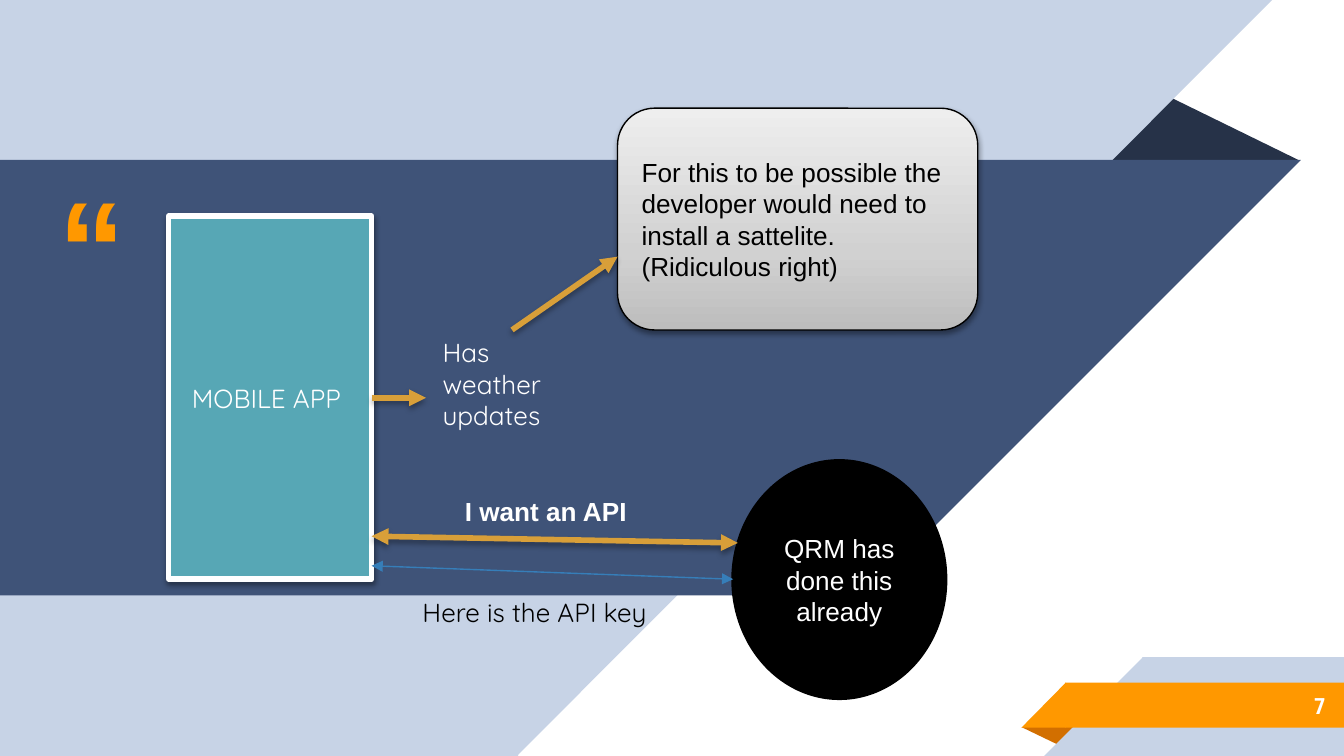
from copy import deepcopy
from dataclasses import dataclass

from lxml.etree import SubElement
from pptx import Presentation
from pptx.dml.color import RGBColor
from pptx.enum.shapes import MSO_CONNECTOR as Connector, MSO_SHAPE as Preset
from pptx.enum.text import MSO_ANCHOR as Anchor, PP_ALIGN as Align
from pptx.oxml.ns import qn
from pptx.util import Emu, Pt

PX = 4572
LIGHT, NAVY, ORANGE, GOLD = "C7D3E6", "3F5378", "FF9800", "D89F39"
WHITE, BLACK = "FFFFFF", "000000"


@dataclass
class Band:
    preset: Preset
    box: tuple[int, int, int, int]
    color: str
    rotation: int = 0
    flipped: bool = False


@dataclass
class Label:
    text: str
    font: str = "Arial"
    color: str = WHITE
    size: int = 14
    bold: bool = False
    align: Align = Align.LEFT
    anchor: Anchor = Anchor.TOP
    inset: int = 10
    space_before: int = 0


@dataclass
class Arrow:
    start: tuple[int, int]
    end: tuple[int, int]
    color: str = GOLD
    width: float = 3
    double: bool = False
    shadow: bool = True


def px(value: int) -> Emu:
    return Emu(value * PX)


def rgb(color: str) -> RGBColor:
    return RGBColor.from_string(color)


def add_shadow(effects, alpha: int, distance: float) -> None:
    shadow = SubElement(
        effects, qn("a:outerShdw"), blurRad=str(Pt(3.1)), dist=str(Pt(distance)),
        dir="5400000", algn="t", rotWithShape="0")
    color = SubElement(shadow, qn("a:srgbClr"), val=BLACK)
    SubElement(color, qn("a:alpha"), val=str(alpha * 1000))


def write(shape, label: Label) -> None:
    frame = shape.text_frame
    frame.word_wrap = True
    frame.vertical_anchor = label.anchor
    frame.margin_left = frame.margin_right = px(20)
    frame.margin_top = frame.margin_bottom = px(label.inset)
    frame.text = label.text
    for paragraph in frame.paragraphs:
        paragraph.alignment = label.align
        paragraph.space_before = Pt(label.space_before)
        for run in paragraph.runs:
            run.font.name = label.font
            run.font.size = Pt(label.size)
            run.font.bold = label.bold
            run.font.color.rgb = rgb(label.color)


def add_text(slide, box: tuple[int, int, int, int], label: Label) -> None:
    write(slide.shapes.add_textbox(*map(px, box)), label)


def add_band(slide, band: Band) -> None:
    shape = slide.shapes.add_shape(band.preset, *map(px, band.box))
    shape.shadow.inherit = False
    shape.fill.solid()
    shape.fill.fore_color.rgb = rgb(band.color)
    shape.line.fill.background()
    shape.rotation = band.rotation
    if band.preset == Preset.ISOSCELES_TRIANGLE:
        shape.adjustments[0] = 0.324
    if band.flipped:
        shape.element.spPr.find(qn("a:xfrm")).set("flipH", "1")


def add_node(slide, preset: Preset, box: tuple[int, int, int, int], fill: str,
             line: str, width: float, label: Label, shadow: bool = True):
    shape = slide.shapes.add_shape(preset, *map(px, box))
    shape.shadow.inherit = False
    shape.fill.solid()
    shape.fill.fore_color.rgb = rgb(fill)
    shape.line.color.rgb = rgb(line)
    shape.line.width = Pt(width)
    if shadow:
        add_shadow(shape.element.spPr.find(qn("a:effectLst")), 38, 1.6)
    write(shape, label)
    return shape


def fill_gradient(shape, stops: list[tuple[float, str]]) -> None:
    shape.fill.gradient()
    shape.fill.gradient_angle = 90
    stop_list = shape.element.spPr.find(qn("a:gradFill")).find(qn("a:gsLst"))
    while len(stop_list) < len(stops):
        stop_list.append(deepcopy(stop_list[0]))
    for stop, (position, color) in zip(shape.fill.gradient_stops, stops):
        stop.position = position
        stop.color.rgb = rgb(color)


def add_arrow(slide, arrow: Arrow):
    connector = slide.shapes.add_connector(
        Connector.STRAIGHT, *map(px, arrow.start + arrow.end))
    connector.line.color.rgb = rgb(arrow.color)
    connector.line.width = Pt(arrow.width)
    properties = connector.element.spPr
    line = properties.find(qn("a:ln"))
    if arrow.double:
        SubElement(line, qn("a:headEnd"), type="triangle")
    SubElement(line, qn("a:tailEnd"), type="triangle")
    effects = SubElement(properties, qn("a:effectLst"))
    if arrow.shadow:
        add_shadow(effects, 35, 1.8)
    return connector


BACKDROP = [
    Band(Preset.ISOSCELES_TRIANGLE, (1650, 145, 284, 94), "263248"),
    Band(Preset.RECTANGLE, (0, 0, 771, 1125), LIGHT),
    Band(Preset.RIGHT_TRIANGLE, (770, -1, 1124, 1125), LIGHT, 180, True),
    Band(Preset.RECTANGLE, (0, 238, 1289, 648), NAVY),
    Band(Preset.RIGHT_TRIANGLE, (1288, 238, 648, 648), NAVY, 180, True),
]
FOOTER = [
    Band(Preset.ISOSCELES_TRIANGLE, (1520, 1082, 86, 28), "D26F00", 180),
    Band(Preset.RECTANGLE, (1700, 978, 300, 147), LIGHT),
    Band(Preset.RIGHT_TRIANGLE, (1554, 978, 147, 147), LIGHT, 0, True),
    Band(Preset.RECTANGLE, (1585, 1016, 416, 67), ORANGE),
    Band(Preset.RIGHT_TRIANGLE, (1520, 1016, 66, 67), ORANGE, 0, True),
]


def main() -> None:
    presentation = Presentation()
    presentation.slide_width = px(2000)
    presentation.slide_height = px(1125)
    slide = presentation.slides.add_slide(presentation.slide_layouts[6])

    for band in BACKDROP:
        add_band(slide, band)
    add_text(slide, (63, 222, 148, 142), Label(
        "“", color=ORANGE, size=72, bold=True, align=Align.CENTER,
        inset=20, space_before=6))
    for band in FOOTER:
        add_band(slide, band)
    add_text(slide, (1666, 1015, 326, 70), Label(
        "7", "Roboto Condensed", size=12, bold=True, align=Align.RIGHT,
        anchor=Anchor.MIDDLE, inset=20))

    mobile_app = add_node(
        slide, Preset.RECTANGLE, (251, 322, 302, 540), "57A7B5", WHITE, 3,
        Label("MOBILE APP ", "Quicksand", align=Align.CENTER, anchor=Anchor.MIDDLE))
    add_text(slide, (639, 491, 246, 162), Label("Has weather updates", "Quicksand"))
    updates_arrow = add_arrow(slide, Arrow((553, 592), (634, 592)))
    updates_arrow.begin_connect(mobile_app, 3)

    satellite_note = add_node(
        slide, Preset.ROUNDED_RECTANGLE, (919, 161, 536, 330), WHITE, BLACK, 0.75,
        Label("For this to be possible the developer would need to install a sattelite."
              "\n(Ridiculous right)", color=BLACK, anchor=Anchor.MIDDLE))
    fill_gradient(satellite_note, [(0, "BDBDBD"), (0.35, "D1D1D1"), (1, "EEEEEE")])
    add_arrow(slide, Arrow((762, 491), (919, 382)))

    add_node(
        slide, Preset.OVAL, (1091, 686, 316, 353), BLACK, BLACK, 2,
        Label("QRM has done this already", align=Align.CENTER, anchor=Anchor.MIDDLE),
        shadow=False)
    add_arrow(slide, Arrow((553, 798), (1098, 808), double=True))
    add_text(slide, (672, 728, 336, 68), Label("I want an API", bold=True))
    add_arrow(slide, Arrow((553, 842), (1091, 862), "367EB9", 0.75, True, False))
    add_text(slide, (609, 878, 430, 68), Label(
        "Here is the API key", "Quicksand", BLACK))

    presentation.save("out.pptx")


if __name__ == "__main__":
    main()
